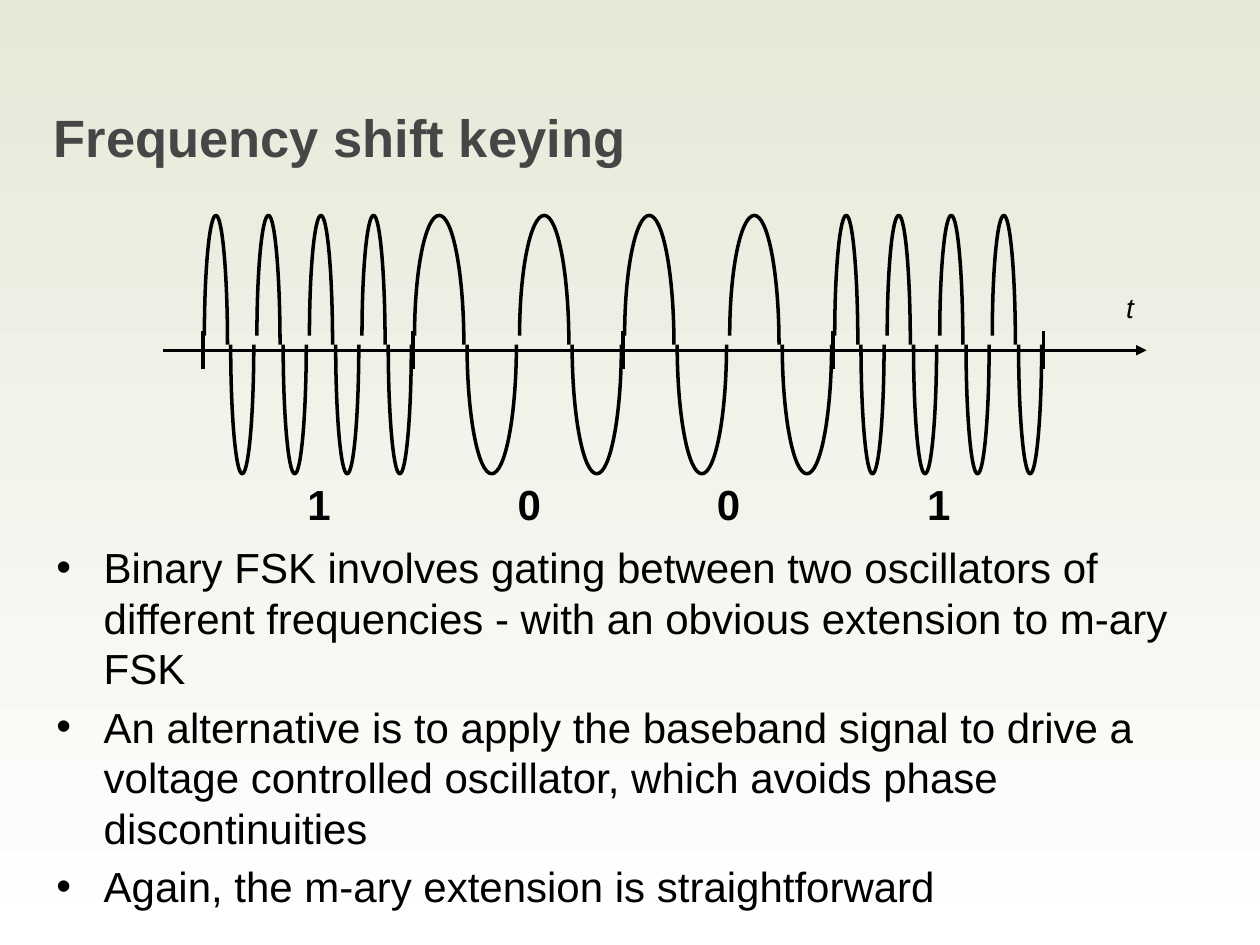
from lxml import etree
from pptx import Presentation
from pptx import util as u
from pptx.dml.color import RGBColor
from pptx.enum import shapes, text
from pptx.oxml.ns import qn

FONT = "Arial"
BLACK = "000000"
BITS = "1001"
BULLETS = [
    "Binary FSK involves gating between two oscillators of different "
    "frequencies - with an obvious extension to m-ary FSK",
    "An alternative is to apply the baseband signal to drive a voltage "
    "controlled oscillator, which avoids phase discontinuities",
    "Again, the m-ary extension is straightforward",
]


def set_color(color, value):
    """Set a colour format from a hex string."""
    color.rgb = RGBColor.from_string(value)


def add_text(s, box, lines, size, color=BLACK, bold=False, italic=False, wrap=True):
    """Add a text box with one paragraph per line and return its frame."""
    tf = s.shapes.add_textbox(*map(u.Inches, box)).text_frame
    tf.text = "\n".join(lines)
    tf.word_wrap = wrap
    for p in tf.paragraphs:
        font = p.runs[0].font
        font.name, font.size = FONT, u.Pt(size)
        font.bold, font.italic = bold, italic
        set_color(font.color, color)
    return tf


def add_line(s, x1, y1, x2, y2, arrow=False):
    """Add a straight black line, with an arrowhead at its end if asked."""
    line = s.shapes.add_connector(
        shapes.MSO_CONNECTOR.STRAIGHT, *map(u.Inches, (x1, y1, x2, y2)))
    line.line.width = u.Pt(2)
    set_color(line.line.color, BLACK)
    sp_pr = line._element.spPr
    if arrow:
        etree.SubElement(sp_pr.find(qn("a:ln")), qn("a:tailEnd"), type="triangle")
    etree.SubElement(sp_pr, qn("a:effectLst"))


def round_quarter(segment, start, end, leaves_upright):
    """Turn a line segment into a quarter of an ellipse."""
    (x1, y1), (x2, y2) = start, end
    k = 0.55
    if leaves_upright:
        controls = (x1, y1 + k * (y2 - y1)), (x2 - k * (x2 - x1), y2)
    else:
        controls = (x1 + k * (x2 - x1), y1), (x2, y2 - k * (y2 - y1))
    segment.tag = qn("a:cubicBezTo")
    for i, (x, y) in enumerate(controls):
        pt = etree.Element(qn("a:pt"), x=str(round(x)), y=str(round(y)))
        segment.insert(i, pt)


def add_half_wave(s, x, y_start, width, y_crest, y_end):
    """Add a half wave made of two quarter ellipses that meet at the crest."""
    corners = [(u.Inches(px), u.Inches(py)) for px, py in
               ((x, y_start), (x + width / 2, y_crest), (x + width, y_end))]
    builder = s.shapes.build_freeform(*corners[0])
    builder.add_line_segments(corners[1:], close=False)
    sp = builder.convert_to_shape()
    sp.shadow.inherit = False
    sp.fill.background()
    sp.line.width = u.Pt(2)
    set_color(sp.line.color, BLACK)
    points = [(int(pt.get("x")), int(pt.get("y")))
              for pt in sp._element.iter(qn("a:pt"))]
    for i, segment in enumerate(list(sp._element.iter(qn("a:lnTo")))):
        round_quarter(segment, points[i], points[i + 1], i == 0)


def add_waveform(s, left, top, width, height):
    """Draw the keyed signal with its time axis and bit ticks."""
    group = s.shapes.add_group_shape()
    bit_width = width / len(BITS)
    base, axis, gap = top + height / 2, top + 1.07, 0.025
    add_line(group, left - 0.32, axis, left + width + 0.82, axis, arrow=True)
    for i, bit in enumerate(BITS):
        halves = 8 if bit == "1" else 4
        step = bit_width / halves
        for k in range(halves):
            x = left + i * bit_width + k * step + gap / 2
            if k % 2 == 0:
                add_half_wave(group, x, base - 0.07, step - gap, top, base)
            else:
                add_half_wave(group, x, base, step - gap, top + height, base)
    for i in range(len(BITS) + 1):
        x = left + i * bit_width
        add_line(group, x, axis - 0.15, x, axis + 0.15)


def add_labels(s, top):
    """Label each bit in a row that starts at the given height."""
    group = s.shapes.add_group_shape()
    for bit, x in zip(BITS, (2.34, 4.01, 5.59, 7.26)):
        add_text(group, (x, top, 0.38, 0.5), [bit], 24, bold=True, wrap=False)


def add_title(s, box):
    """Add the slide title."""
    tf = add_text(s, box, ["Frequency shift keying"], 30, "464646", bold=True)
    tf.vertical_anchor = text.MSO_ANCHOR.MIDDLE


def add_bullets(s, box):
    """Add the bulleted explanation."""
    for p in add_text(s, box, BULLETS, 24).paragraphs:
        p.space_before = u.Pt(4.8)
        p_pr = p._p.get_or_add_pPr()
        p_pr.set("marL", str(u.Pt(27)))
        p_pr.set("indent", str(u.Pt(-27)))
        etree.SubElement(p_pr, qn("a:buFont"), typeface=FONT)
        etree.SubElement(p_pr, qn("a:buChar"), char="•")


def set_background(s):
    """Fill the background with a vertical gradient."""
    fill = s.background.fill
    fill.gradient()
    fill.gradient_angle = 270
    for stop, value in zip(fill.gradient_stops, ("E6E8D7", "FFFFFF")):
        set_color(stop.color, value)


def main():
    """Build and save the slide."""
    prs = Presentation()
    prs.slide_width, prs.slide_height = u.Inches(10), u.Inches(7.5)
    s = prs.slides.add_slide(prs.slide_layouts[6])
    set_background(s)
    add_title(s, (0.33, 0.6, 8.36, 0.96))
    add_bullets(s, (0.35, 4.25, 9.14, 2.26))
    add_text(s, (8.84, 2.26, 0.26, 0.36), ["t"], 16, italic=True, wrap=False)
    add_labels(s, 3.75)
    add_waveform(s, 1.61, 1.71, 6.67, 2.05)
    prs.save("out.pptx")


if __name__ == "__main__":
    main()
